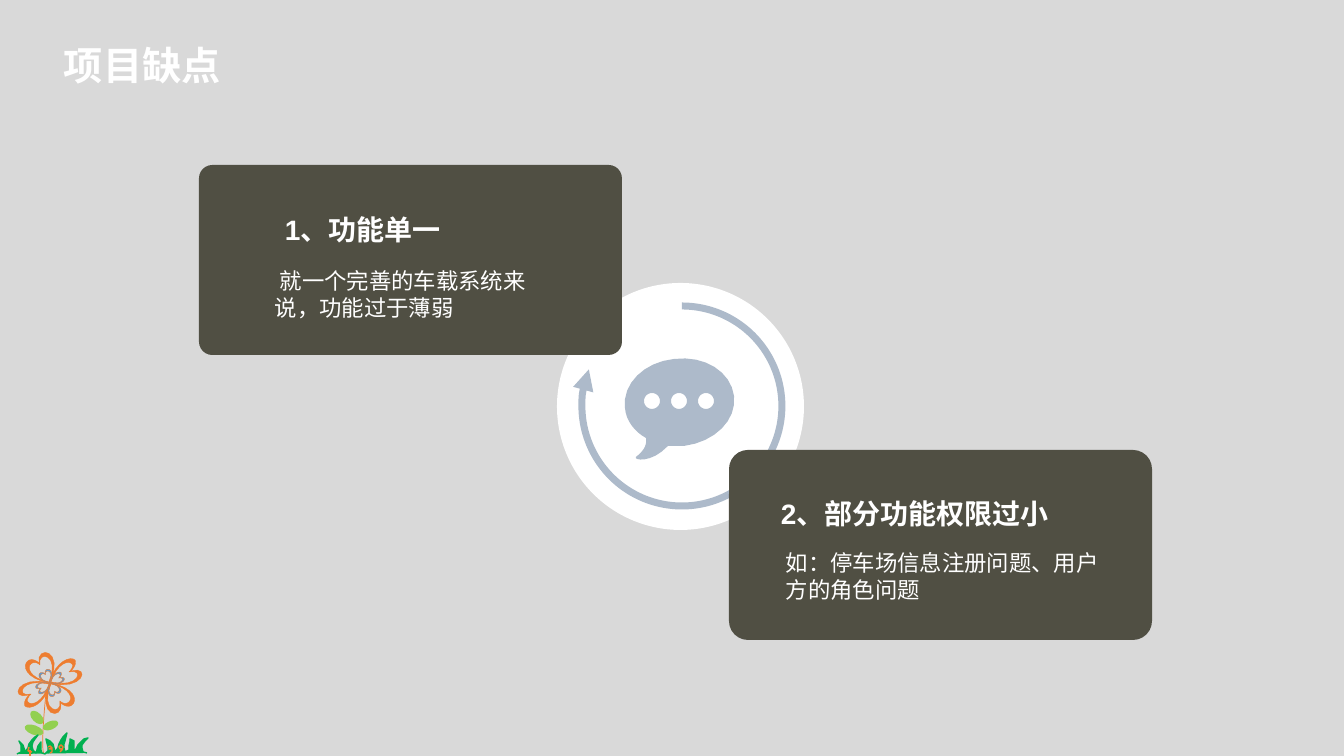
from dataclasses import dataclass
from math import cos, pi, sin

from lxml.etree import SubElement
from pptx import Presentation
from pptx.dml.color import RGBColor
from pptx.enum.shapes import MSO_SHAPE as Preset
from pptx.enum.text import MSO_ANCHOR as Anchor
from pptx.oxml.ns import qn
from pptx.util import Pt

PX = 12192000 / 1344


@dataclass(frozen=True)
class Theme:
    background: str = "D9D9D9"
    white: str = "FFFFFF"
    card: str = "504F43"
    accent: str = "ADBACA"
    petal: str = "ED7D31"
    outline: str = "F07D2D"
    heart: str = "5B9BD5"
    leaf: str = "92D050"
    grass: str = "00B050"
    title_font: str = "Noto Sans CJK SC"
    body_font: str = "Arial"
    title_size: int = 28
    heading_size: int = 20
    body_size: int = 16


THEME = Theme()

# Each outline is a start point followed by cubic curves (two controls and an end).
BUBBLE = [(112, 41), (109, 17, 83, 0, 52, 4), (22, 7, 0, 29, 3, 53),
          (4, 66, 13, 77, 24, 83), (25, 89, 23, 95, 14, 102),
          (11, 105, 29, 109, 46, 91), (51, 91, 57, 91, 62, 91),
          (93, 87, 115, 65, 112, 41)]
RIGHT_PETAL = [
    [(22, -19), (19, -23, 7, -20, 1, -1), (29, 6, 35, -15, 19, -11),
     (23, -15, 23, -18, 22, -19)],
    [(25, -23), (26, -21, 26, -17, 21, -12), (41, -18, 34, 9, -1, 0),
     (6, -23, 21, -27, 25, -23)]]
LEFT_PETAL = [
    [(-19, -19), (-23, -16, -21, -5, -1, -1), (11, -29, -13, -33, -10, -18),
     (-13, -21, -17, -21, -19, -19)],
    [(-22, -22), (-20, -24, -15, -24, -11, -20), (-14, -38, 15, -34, 0, 0),
     (-25, -4, -28, -18, -22, -22)]]
GRASS = [(0, 21), (4, 19), (4, 16), (4, 12), (2, 8), (6, 12), (7, 15), (8, 19),
         (11, 15), (12, 11), (15, 7), (18, 4), (21, 2), (18, 6), (16, 9), (15, 13),
         (16, 17), (19, 20), (20, 17), (21, 13), (24, 9), (24, 13), (24, 17), (25, 20),
         (28, 21), (31, 18), (31, 14), (30, 10), (29, 6), (33, 8), (36, 11), (37, 15),
         (38, 19), (41, 15), (42, 11), (44, 7), (46, 4), (50, 0), (49, 4), (48, 8),
         (47, 11), (47, 15), (48, 19), (52, 17), (52, 13), (53, 9), (53, 6), (57, 8),
         (57, 12), (57, 15), (56, 19), (59, 16), (61, 12), (64, 9), (67, 6), (71, 5),
         (68, 8), (65, 12), (65, 15), (66, 19), (70, 20)]
TENDRILS = [[(12, 14), (11, 18), (15, 19)],
            [(31, 14), (33, 13), (35, 15), (32, 16), (35, 16), (35, 19), (33, 20)],
            [(45, 16), (43, 16), (42, 14), (44, 12), (46, 14), (45, 17), (43, 19)],
            [(13, 17), (13, 21), (13, 24)]]


def emu(pixels):
    return round(pixels * PX)


def paint(shape, fill=None, line=None, width=1):
    shape.shadow.inherit = False
    if fill:
        shape.fill.solid()
        shape.fill.fore_color.rgb = RGBColor.from_string(fill)
    else:
        shape.fill.background()
    if line:
        shape.line.color.rgb = RGBColor.from_string(line)
        shape.line.width = Pt(width)
    else:
        shape.line.fill.background()


def add_preset(shapes, preset, box, rotation=0, **colours):
    shape = shapes.add_shape(preset, *map(emu, box))
    shape.rotation = rotation
    paint(shape, **colours)
    return shape


def trace(outline, steps=8):
    """Turn an outline of cubic curves into a list of points."""
    points = [outline[0]]
    for curve in outline[1:]:
        controls = [points[-1], curve[:2], curve[2:4], curve[4:]]
        for step in range(1, steps + 1):
            t = step / steps
            weights = ((1 - t) ** 3, 3 * t * (1 - t) ** 2, 3 * t * t * (1 - t), t ** 3)
            points.append(tuple(sum(w * c[axis] for w, c in zip(weights, controls))
                                for axis in (0, 1)))
    return points


def add_outline(shapes, origin, contours, close=True, scale=1, **colours):
    """Draw contours, scaled about the origin, as one freeform."""
    left, top = origin
    builder = None
    for contour in contours:
        start, *rest = [(emu(left + x * scale), emu(top + y * scale)) for x, y in contour]
        if builder is None:
            builder = shapes.build_freeform(*start)
        else:
            builder.move_to(*start)
        builder.add_line_segments(rest, close=close)
    paint(builder.convert_to_shape(), **colours)


def add_text(shapes, box, text, size, font=THEME.body_font, bold=False, inset=True, indent=0):
    frame = shapes.add_textbox(*map(emu, box)).text_frame
    frame.word_wrap = True
    frame.vertical_anchor = Anchor.MIDDLE
    if not inset:
        frame.margin_left = frame.margin_right = frame.margin_top = frame.margin_bottom = 0
    paragraph = frame.paragraphs[0]
    if indent:
        paragraph._p.get_or_add_pPr().set("indent", str(emu(indent)))
    run = paragraph.add_run()
    run.text = text
    run.font.name, run.font.size, run.font.bold = font, Pt(size), bold
    run.font.color.rgb = RGBColor.from_string(THEME.white)


def add_emblem(shapes, left, top):
    add_preset(shapes, Preset.OVAL, (left, top, 247, 247), fill=THEME.white)
    arc = add_preset(shapes, Preset.ARC, (left + 25, top + 23, 200, 200),
                     line=THEME.accent, width=5)
    arc.adjustments[0], arc.adjustments[1] = 162, 120.87
    SubElement(arc.line._get_or_add_ln(), qn("a:tailEnd"), type="triangle")
    dots = [[(x + 8 * cos(k * pi / 12), 46 + 8 * sin(k * pi / 12)) for k in range(24)]
            for x in (30, 57, 84)]
    add_outline(shapes, (left + 65, top + 72), [trace(BUBBLE), *dots], fill=THEME.accent)


def add_card(shapes, box, corner, heading, heading_box, body, body_box, indent=0):
    """Place a rounded card; the text boxes are given relative to its corner."""
    group = shapes.add_group_shape().shapes
    card = add_preset(group, Preset.ROUNDED_RECTANGLE, box, fill=THEME.card)
    card.adjustments[0] = corner
    for text, (x, y, width, height), size, bold, first in (
            (heading, heading_box, THEME.heading_size, True, 0),
            (body, body_box, THEME.body_size, False, indent)):
        add_text(group, (box[0] + x, box[1] + y, width, height), text, size,
                 bold=bold, inset=False, indent=first)


def add_flower(shapes, left, top):
    group = shapes.add_group_shape().shapes
    add_preset(group, Preset.ARC, (left + 29, top - 20, 9, 122), 186,
               line=THEME.outline, width=0.5)
    for x, y, width, height, rotation in ((13, 69, 8, 18, 290), (16, 58, 8, 15, 315),
                                          (30, 66, 7, 15, 68)):
        add_preset(group, Preset.OVAL, (left + x, top + y, width, height), rotation,
                   fill=THEME.leaf, line=THEME.leaf)
    for size, colour in ((1, THEME.petal), (0.45, THEME.heart)):
        for turn in (1, -1):
            for petal in (RIGHT_PETAL, LEFT_PETAL):
                add_outline(group, (left + 33, top + 31), map(trace, petal),
                            scale=size * turn, fill=colour, line=THEME.outline, width=0.25)
    ground = (left, top + 81)
    add_outline(group, ground, [GRASS], close=False, fill=THEME.grass, line=THEME.grass)
    for tendril in TENDRILS:
        add_outline(group, ground, [tendril], close=False, line=THEME.outline)


def main():
    presentation = Presentation()
    presentation.slide_width, presentation.slide_height = emu(1344), emu(756)
    slide = presentation.slides.add_slide(presentation.slide_layouts[6])
    slide.background.fill.solid()
    slide.background.fill.fore_color.rgb = RGBColor.from_string(THEME.background)
    shapes = slide.shapes
    add_text(shapes, (54, 36, 478, 57), "项目缺点", THEME.title_size,
             font=THEME.title_font, bold=True)
    add_emblem(shapes, 557, 283)
    add_card(shapes, (199, 165, 423, 190), 0.07, "1、功能单一", (86, 47, 215, 34),
             "就一个完善的车载系统来说，功能过于薄弱", (76, 102, 257, 54), indent=5)
    add_card(shapes, (729, 450, 423, 190), 0.1, "2、部分功能权限过小", (52, 46, 289, 34),
             "如：停车场信息注册问题、用户方的角色问题", (57, 99, 327, 54))
    add_flower(shapes, 17, 652)
    presentation.save("out.pptx")


if __name__ == "__main__":
    main()
